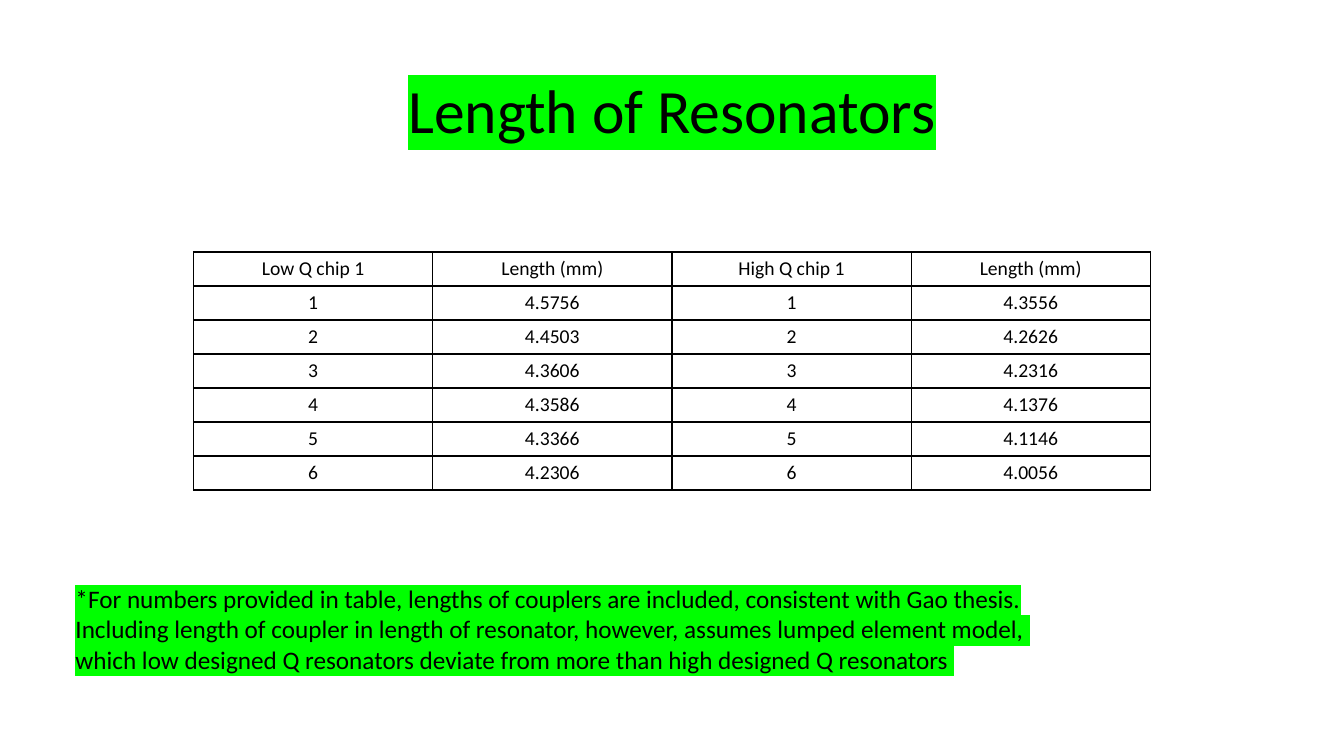
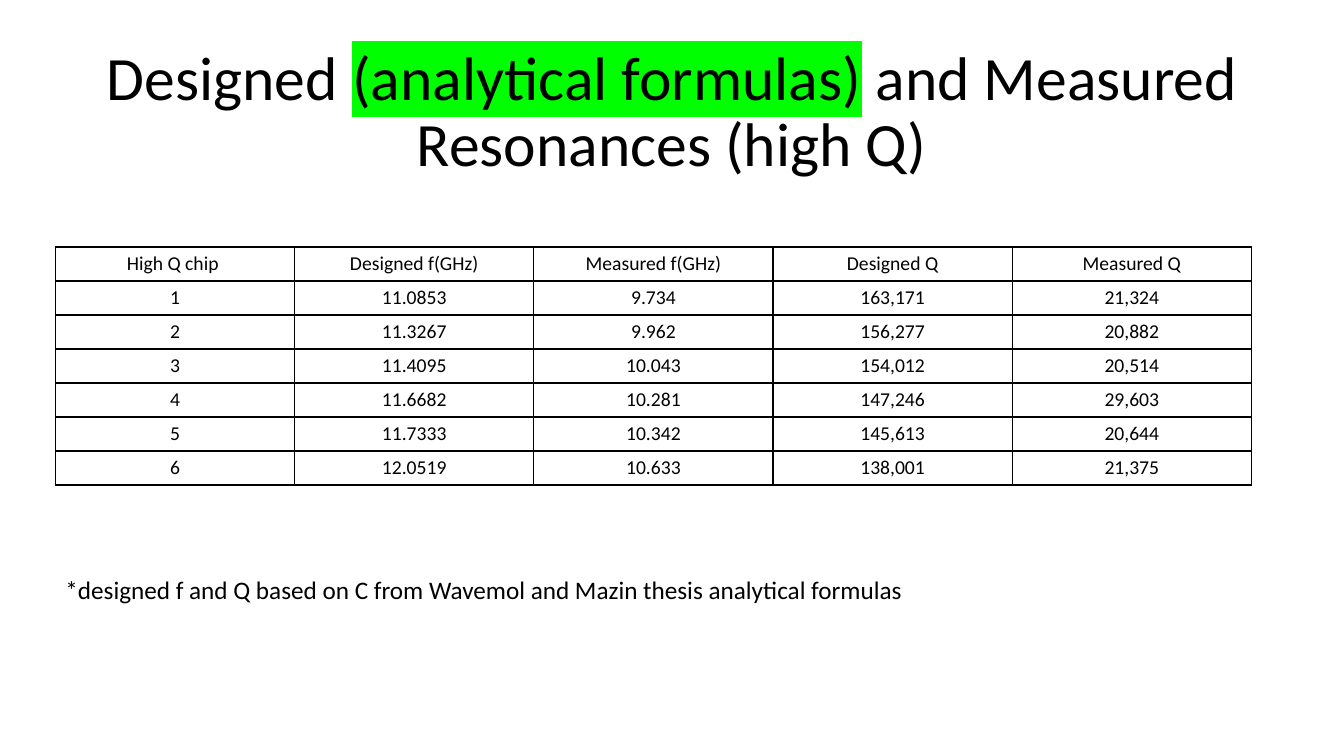
from lxml.etree import SubElement
from pptx import Presentation
from pptx.dml.color import RGBColor as Rgb
from pptx.enum.text import MSO_ANCHOR as Anchor, PP_ALIGN as Align
from pptx.oxml.ns import qn
from pptx.util import Inches, Pt

COLORS = {"ink": "000000", "paper": "FFFFFF", "marker": "00FF00"}
FONT = "Calibri"
SIZES = {"title": 44, "note": 18, "cell": 14}
GRID_COLUMNS, GRID_ROWS = 40, 30
TABLE_COLUMN, TABLE_ROW = 7.12, 1.35


class Deck:
    """Hold the shared style and the current slide, with lengths in grid columns and rows."""

    def __init__(self):
        self.presentation = Presentation()
        self.presentation.slide_width = Inches(13.33)
        self.presentation.slide_height = Inches(7.5)
        self.slide = None

    def across(self, columns):
        return round(self.presentation.slide_width * columns / GRID_COLUMNS)

    def down(self, rows):
        return round(self.presentation.slide_height * rows / GRID_ROWS)

    def area(self, left, top, width, height):
        return self.across(left), self.down(top), self.across(width), self.down(height)

    def add_slide(self):
        self.slide = self.presentation.slides.add_slide(self.presentation.slide_layouts[6])

    def run(self, paragraph, text, role, marked=False):
        run = paragraph.add_run()
        run.text = text
        run.font.size = Pt(SIZES[role])
        run.font.color.rgb = Rgb.from_string(COLORS["ink"])
        if marked:
            highlight = SubElement(run.font.fill._xPr, qn("a:highlight"))
            SubElement(highlight, qn("a:srgbClr"), val=COLORS["marker"])
        run.font.name = FONT

    def text(self, area, lines, role):
        frame = self.slide.shapes.add_textbox(*self.area(*area)).text_frame
        frame.word_wrap = True
        for index, pieces in enumerate(lines):
            paragraph = frame.add_paragraph() if index else frame.paragraphs[0]
            for words, marked in pieces:
                self.run(paragraph, words, role, marked)
        return frame

    def title(self, *pieces):
        frame = self.text((2.75, 1.6, 34.5, 5.8), [pieces], "title")
        frame.vertical_anchor = Anchor.MIDDLE
        frame.paragraphs[0].alignment = Align.CENTER
        frame.paragraphs[0].line_spacing = 0.9

    def note(self, area, lines, marked=False):
        self.text(area, [[(line, marked)] for line in lines], "note")

    def border(self, cell):
        properties = cell._tc.get_or_add_tcPr()
        for side in ("lnL", "lnR", "lnT", "lnB"):
            line = SubElement(properties, qn(f"a:{side}"), w=str(Pt(1)))
            fill = SubElement(line, qn("a:solidFill"))
            SubElement(fill, qn("a:srgbClr"), val=COLORS["ink"])

    def table(self, left, top, records):
        row_count, column_count = len(records), len(records[0])
        area = self.area(left, top, column_count * TABLE_COLUMN, row_count * TABLE_ROW)
        table = self.slide.shapes.add_table(row_count, column_count, *area).table
        table.first_row = table.horz_banding = False
        for column in table.columns:
            column.width = self.across(TABLE_COLUMN)
        for row, record in zip(table.rows, records):
            row.height = self.down(TABLE_ROW)
            for cell, value in zip(row.cells, record):
                self.border(cell)
                cell.fill.solid()
                cell.fill.fore_color.rgb = Rgb.from_string(COLORS["paper"])
                paragraph = cell.text_frame.paragraphs[0]
                paragraph.alignment = Align.CENTER
                self.run(paragraph, value, "cell")


LENGTHS = [
    ("Low Q chip 1", "Length (mm)", "High Q chip 1", "Length (mm)"),
    ("1", "4.5756", "1", "4.3556"),
    ("2", "4.4503", "2", "4.2626"),
    ("3", "4.3606", "3", "4.2316"),
    ("4", "4.3586", "4", "4.1376"),
    ("5", "4.3366", "5", "4.1146"),
    ("6", "4.2306", "6", "4.0056"),
]
RESONANCES = [
    ("High Q chip ", "Designed f(GHz)", "Measured f(GHz)", "Designed Q", "Measured Q"),
    ("1", "11.0853", "9.734", "163,171", "21,324"),
    ("2", "11.3267", "9.962", "156,277", "20,882"),
    ("3", "11.4095", "10.043", "154,012", "20,514"),
    ("4", "11.6682", "10.281", "147,246", "29,603"),
    ("5", "11.7333", "10.342", "145,613", "20,644"),
    ("6", "12.0519", "10.633", "138,001", "21,375"),
]
COUPLER_NOTE = [
    "*For numbers provided in table, lengths of couplers are included, consistent with Gao thesis.",
    "Including length of coupler in length of resonator, however, assumes lumped element model, ",
    "which low designed Q resonators deviate from more than high designed Q resonators ",
]
FORMULA_NOTE = ["*designed f and Q based on C from Wavemol and Mazin thesis analytical formulas"]


def main():
    deck = Deck()

    deck.add_slide()
    deck.title(("Length of Resonators", True))
    deck.table((GRID_COLUMNS - len(LENGTHS[0]) * TABLE_COLUMN) / 2, 10, LENGTHS)
    deck.note((1.95, 22.96, 29.34, 4), COUPLER_NOTE, marked=True)

    deck.add_slide()
    deck.title(
        ("Designed ", False),
        ("(analytical formulas)", True),
        (" and Measured Resonances (high Q)", False),
    )
    deck.table(1.65, 9.8, RESONANCES)
    deck.note((1.65, 22.6, 28.83, 1.6), FORMULA_NOTE)

    deck.presentation.save("out.pptx")


if __name__ == "__main__":
    main()
